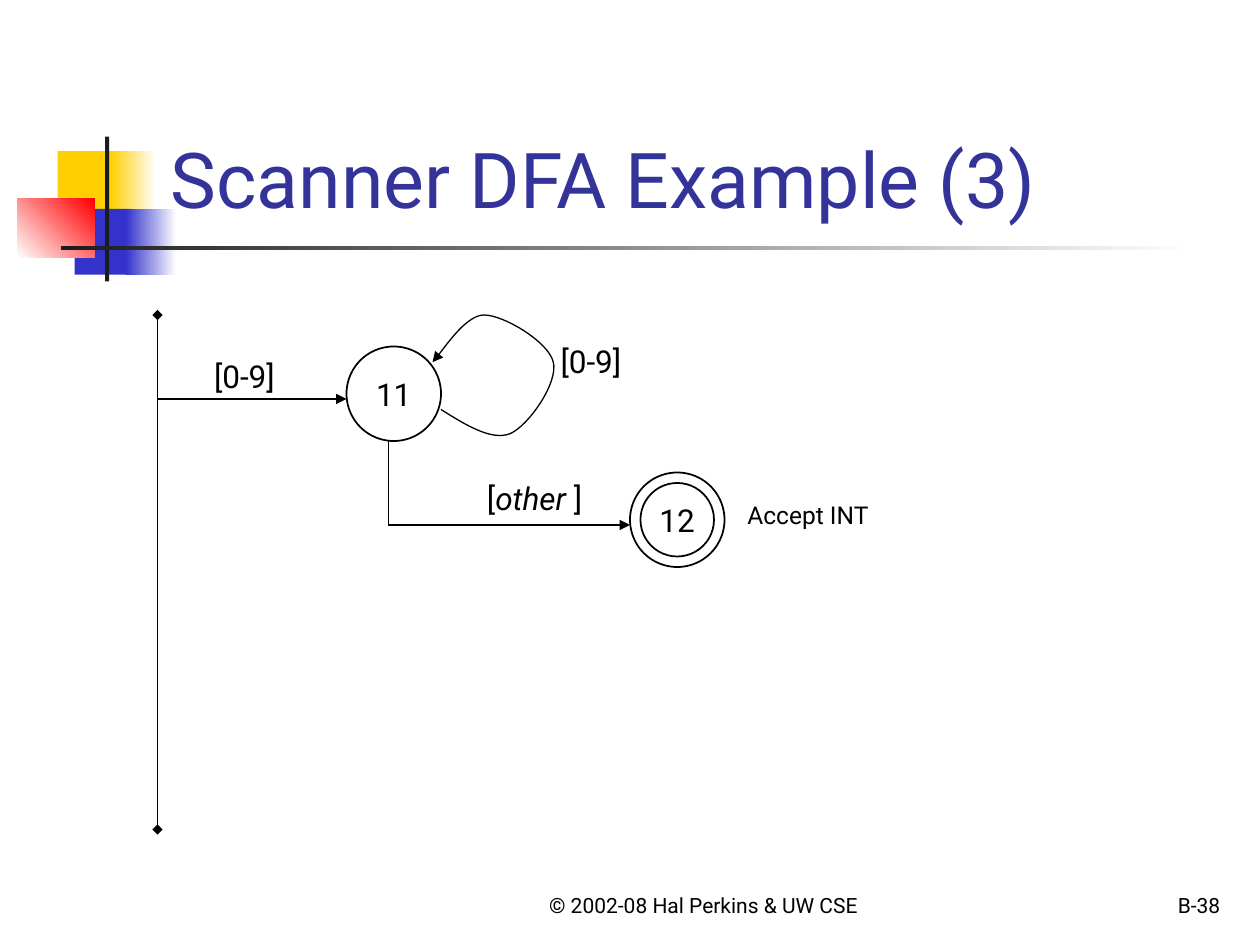
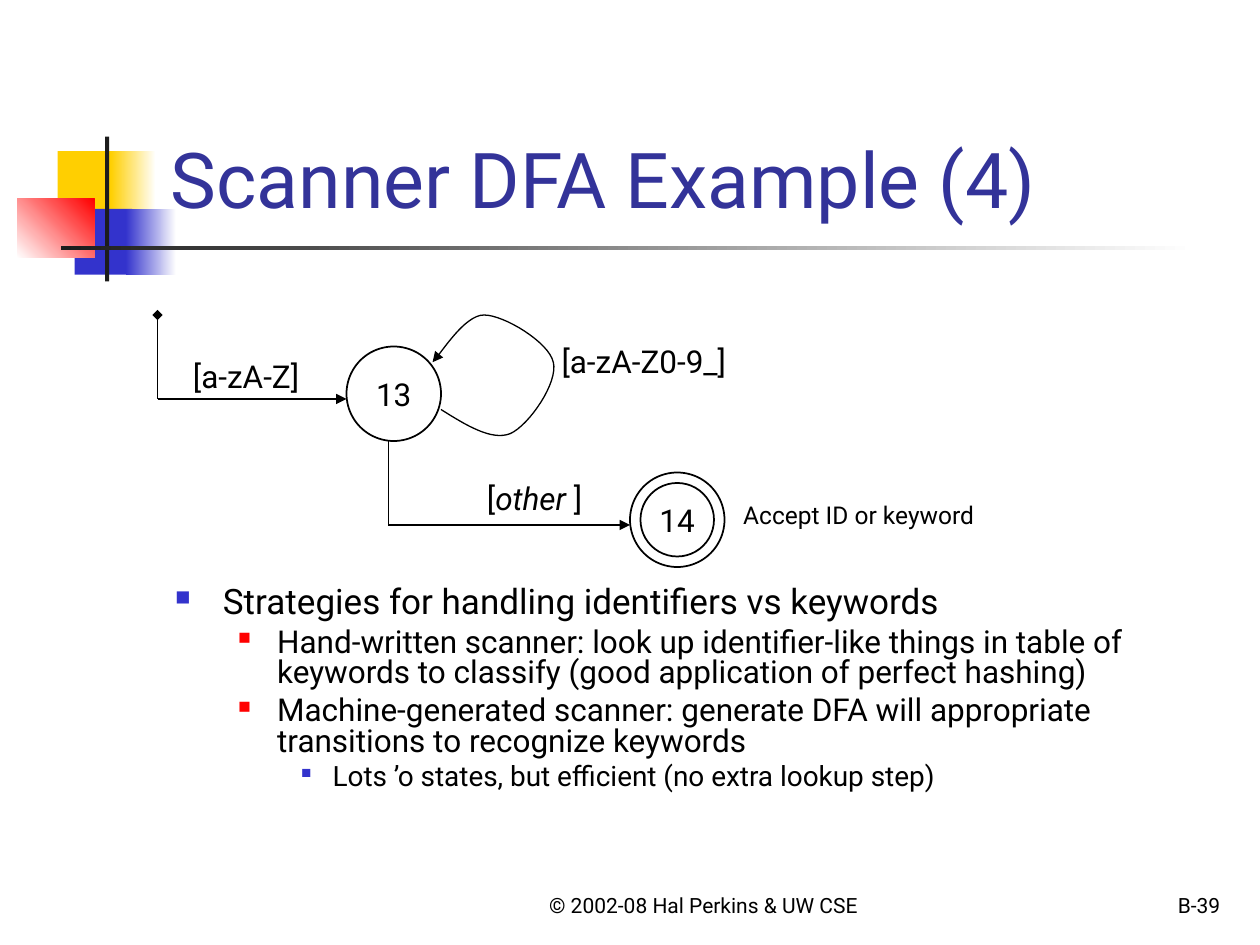
"""Builds two slides of scanner DFA diagrams on a grid of 120 by 90 cells."""
from dataclasses import dataclass

from lxml.etree import SubElement
from pptx import Presentation
from pptx.dml.color import RGBColor as Rgb
from pptx.enum.shapes import MSO_CONNECTOR as Link, MSO_SHAPE as Form
from pptx.enum.text import MSO_ANCHOR as Anchor, MSO_AUTO_SIZE as Fit, PP_ALIGN as Align
from pptx.oxml.ns import qn
from pptx.util import Emu, Inches, Pt


@dataclass(frozen=True)
class Theme:
    font: str = "Roboto"
    ink: str = "000000"
    title: str = "333399"
    yellow: str = "FFCF01"
    blue: str = "3333CC"
    red: str = "FF0000"
    white: str = "FFFFFF"
    bar: str = "1C1C1C"
    title_size: int = 44
    label_size: int = 18
    accept_size: int = 14
    footer_size: int = 12
    thin: float = 0.75
    ring: float = 1


theme = Theme()
CELL = Inches(10) / 120

DECORATION = [
    ((5.5, 14.4, 5.8, 6.25), [theme.yellow], 0),
    ((10.55, 14.4, 4.3, 6.25), [theme.yellow, theme.white], 0),
    ((7.1, 19.9, 5.5, 6.25), [theme.blue], 0),
    ((12, 19.9, 4.8, 6.25), [theme.blue, theme.white], 0),
    ((1.65, 18.95, 7.35, 5.6), [theme.white, theme.red], 45),
    ((10, 13, 0.4, 13.8), [theme.bar], 0),
    ((5.8, 23.4, 108, 0.4), [theme.bar, theme.white], 0),
]
LOOP_START = (42, 39)
LOOP_CURVES = [
    ((44.4, 40.5), (46.8, 42), (48.6, 41.3)),
    ((50.4, 40.5), (53.2, 36.4), (52.7, 34.5)),
    ((52.3, 32.6), (48, 30), (46.1, 30)),
    ((44.2, 30), (42, 33.7), (41.2, 34.5)),
]
CURVE_STEPS = 16

DIAGRAMS = [
    dict(title="Scanner DFA Example (3)", page="B-38", states=("11", "12"),
         entry=("[0-9]", (19.2, 33.4, 8.8, 4.8)),
         repeat=("[0-9]", (52.2, 32, 8.8, 4.8)),
         accept=("Accept INT", (70, 47, 14.2, 4.1)),
         trunk_end=79, trunk_tail="diamond", strategies=[]),
    dict(title="Scanner DFA Example (4)", page="B-39", states=("13", "14"),
         entry=("[a-zA-Z]", (17.2, 33.4, 13, 4.8)),
         repeat=("[a-zA-Z0-9_]", (52.3, 32, 18.75, 4.8)),
         accept=("Accept ID or keyword", (69.6, 47, 25.8, 4.1)),
         trunk_end=38, trunk_tail=None, strategies=[
             (0, "Strategies for handling identifiers vs keywords"),
             (1, "Hand-written scanner: look up identifier-like things in table of "
                 "keywords to classify (good application of perfect hashing)"),
             (1, "Machine-generated scanner: generate DFA will appropriate "
                 "transitions to recognize keywords"),
             (2, "Lots ’o states, but efficient (no extra lookup step)"),
         ]),
]
LEVELS = [
    dict(size=20, left=0.38, hang=0.38, before=5, color=theme.blue, share=60),
    dict(size=18, left=0.81, hang=0.31, before=4.5, color=theme.red, share=55),
    dict(size=16, left=1.25, hang=0.25, before=4, color=theme.blue, share=50),
]


def write(holder, text, size, color=theme.ink, align=Align.LEFT, anchor=Anchor.TOP, wrap=False):
    """Put text in the first paragraph of a holder and return that paragraph."""
    frame = holder.text_frame
    frame.word_wrap = wrap
    frame.vertical_anchor = anchor
    paragraph = frame.paragraphs[0]
    paragraph.text = text
    paragraph.alignment = align
    paragraph.font.name = theme.font
    paragraph.font.size = Pt(size)
    paragraph.font.color.rgb = Rgb.from_string(color)
    return paragraph


def trace(outline, width, head=None, tail=None):
    """Give a shape or connector a plain black line with optional ends."""
    outline.line.width = Pt(width)
    outline.line.color.rgb = Rgb.from_string(theme.ink)
    properties = outline._element.spPr
    for end, kind in (("a:headEnd", head), ("a:tailEnd", tail)):
        if kind:
            SubElement(properties.find(qn("a:ln")), qn(end), type=kind)
    SubElement(properties, qn("a:effectLst"))


deck = Presentation()
deck.slide_width, deck.slide_height = Inches(10), Inches(7.5)

for diagram in DIAGRAMS:
    slide = deck.slides.add_slide(deck.slide_layouts[6])
    shapes = slide.shapes

    for box, colors, angle in DECORATION:
        block = shapes.add_shape(Form.RECTANGLE, *(Emu(round(v * CELL)) for v in box))
        block.shadow.inherit = False
        block.line.fill.background()
        if len(colors) == 1:
            block.fill.solid()
            block.fill.fore_color.rgb = Rgb.from_string(colors[0])
        else:
            block.fill.gradient()
            block.fill.gradient_angle = angle
            for stop, color in zip(block.fill.gradient_stops, colors):
                stop.color.rgb = Rgb.from_string(color)

    for text, box, size, color, align in [
        ("© 2002-08 Hal Perkins & UW CSE", (48, 82, 38, 6), theme.footer_size, theme.ink, Align.CENTER),
        (diagram["page"], (92.4, 82, 25, 6), theme.footer_size, theme.ink, Align.RIGHT),
        (diagram["title"], (15.1, 2.75, 102.25, 19.2), theme.title_size, theme.title, Align.LEFT),
    ]:
        band = shapes.add_textbox(*(Emu(round(v * CELL)) for v in box))
        write(band, text, size, color, align, Anchor.BOTTOM, wrap=True)

    if diagram["strategies"]:
        body = shapes.add_textbox(*(Emu(round(v * CELL)) for v in (15.5, 55.4, 102, 25)))
        frame = body.text_frame
        frame.word_wrap = True
        for index, (depth, text) in enumerate(diagram["strategies"]):
            level = LEVELS[depth]
            point = frame.add_paragraph() if index else frame.paragraphs[0]
            point.text = text
            point.level = depth
            point.line_spacing = 0.8
            point.space_before = Pt(level["before"] if index else 0)
            layout = point._p.get_or_add_pPr()
            layout.set("marL", str(Inches(level["left"])))
            layout.set("indent", str(-Inches(level["hang"])))
            SubElement(SubElement(layout, qn("a:buClr")), qn("a:srgbClr"), val=level["color"])
            SubElement(layout, qn("a:buSzPct"), val=str(level["share"] * 1000))
            SubElement(layout, qn("a:buChar"), char="■")
            point.font.name = theme.font
            point.font.size = Pt(level["size"])
            point.font.color.rgb = Rgb.from_string(theme.ink)

    for ends, head, tail in [
        ((15, 30, 15, diagram["trunk_end"]), "diamond", diagram["trunk_tail"]),
        ((15, 38, 33, 38), None, "triangle"),
        ((37, 50, 60, 50), None, "triangle"),
        ((37, 42, 37, 50), None, None),
    ]:
        edge = shapes.add_connector(Link.STRAIGHT, *(Emu(round(v * CELL)) for v in ends))
        trace(edge, theme.thin, head, tail)

    accepting = shapes.add_group_shape().shapes
    looping, final = diagram["states"]
    for owner, box, name in [
        (accepting, (60, 45, 9, 9), None),
        (accepting, (61, 46, 7, 7), final),
        (shapes, (33, 33, 9, 9), looping),
    ]:
        state = owner.add_shape(Form.OVAL, *(Emu(round(v * CELL)) for v in box))
        state.fill.background()
        trace(state, theme.ring)
        if name:
            write(state, name, theme.label_size, align=Align.CENTER, anchor=Anchor.MIDDLE)

    loop_points, start = [], LOOP_START
    for bend_out, bend_in, end in LOOP_CURVES:
        for step in range(1, CURVE_STEPS + 1):
            t = step / CURVE_STEPS
            loop_points.append(tuple(
                round(CELL * ((1 - t) ** 3 * a + 3 * t * (1 - t) ** 2 * b + 3 * t ** 2 * (1 - t) * c + t ** 3 * d))
                for a, b, c, d in zip(start, bend_out, bend_in, end)))
        start = end
    pen = shapes.build_freeform(*(round(v * CELL) for v in LOOP_START))
    pen.add_line_segments(loop_points, close=False)
    loop = pen.convert_to_shape()
    loop.fill.background()
    trace(loop, theme.thin, tail="triangle")

    for (text, box), size in [
        (diagram["entry"], theme.label_size),
        (diagram["repeat"], theme.label_size),
        (diagram["accept"], theme.accept_size),
        (("[", (45.2, 45, 12.2, 4.8)), theme.label_size),
    ]:
        label = shapes.add_textbox(*(Emu(round(v * CELL)) for v in box))
        caption = write(label, text, size)
        label.text_frame.auto_size = Fit.SHAPE_TO_FIT_TEXT
        if text == "[":
            for part, slanted in (("other", True), (" ]", False)):
                run = caption.add_run()
                run.text = part
                run.font.italic = slanted

deck.save("out.pptx")
